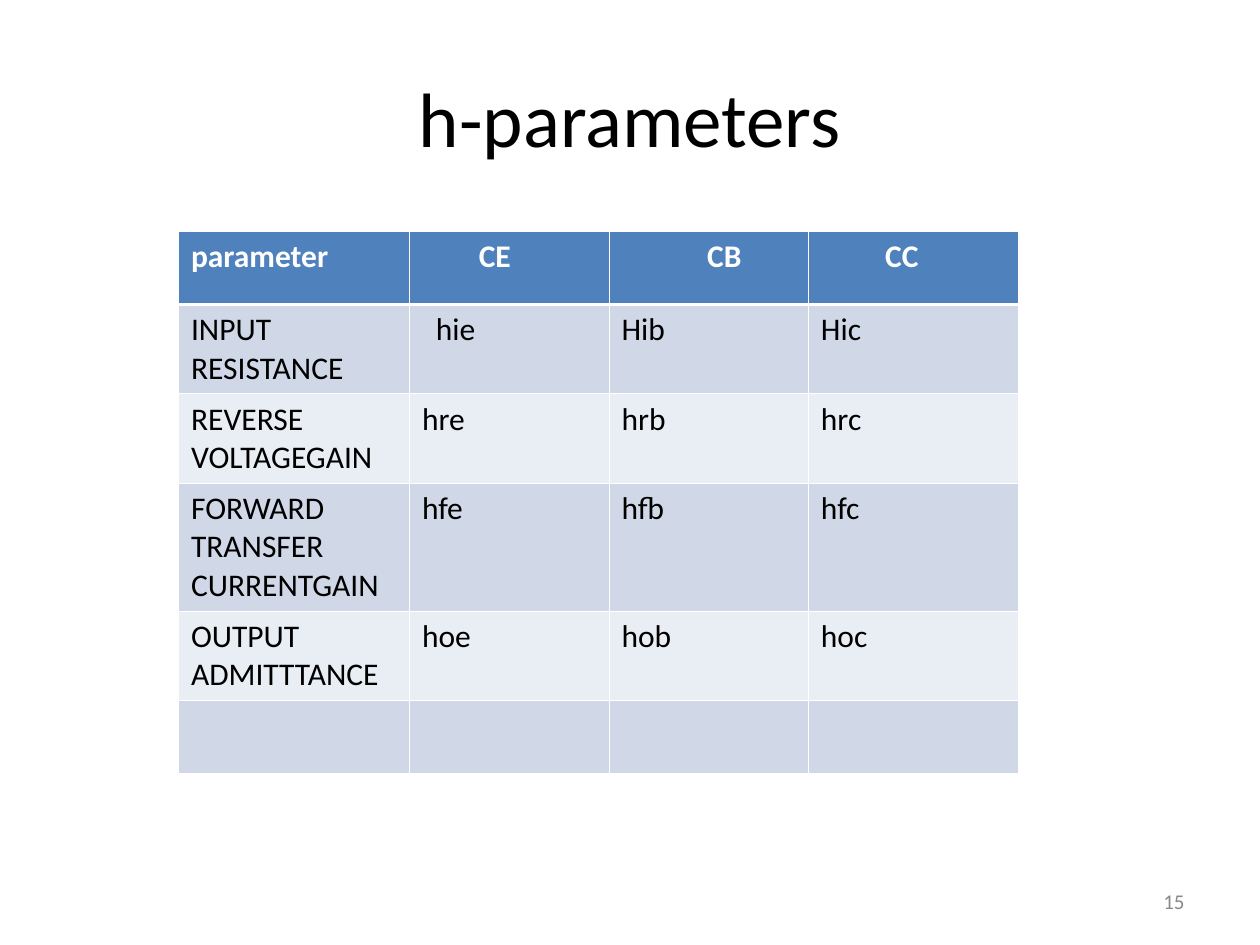
from dataclasses import dataclass
from lxml.etree import SubElement as Sub
from pptx import Presentation as Deck
from pptx.dml.color import RGBColor as Rgb
from pptx.enum.text import MSO_ANCHOR as Anchor, PP_ALIGN as Align
from pptx.oxml.ns import qn
from pptx.util import Inches, Pt


@dataclass(frozen=True)
class Theme:
    font: str = "Calibri"
    ink: str = "000000"
    pale: str = "FFFFFF"
    gray: str = "898989"
    head: str = "4F81BD"
    bands: tuple = ("D0D8E8", "E9EDF4")
    title: int = 44
    body: int = 18
    note: int = 12
    thin: float = 0.45
    thick: float = 1.47


class Page:
    def __init__(self, slide, theme, unit):
        self.slide, self.theme, self.unit = slide, theme, unit

    def size(self, *steps):
        return [round(step * self.unit) for step in steps]

    def style(self, para, size, color, bold=False):
        font = para.font
        font.name, font.size, font.bold = self.theme.font, Pt(size), bold
        font.color.rgb = Rgb.from_string(color)

    def text(self, words, place, size, color, align):
        frame = self.slide.shapes.add_textbox(*self.size(*place)).text_frame
        frame.word_wrap = True
        frame.vertical_anchor = Anchor.MIDDLE
        frame.text = words
        para = frame.paragraphs[0]
        para.alignment = align
        self.style(para, size, color)

    def edge(self, cell, side, width):
        line = Sub(cell._tc.get_or_add_tcPr(), qn(f"a:ln{side}"), w=str(Pt(width)))
        fill = Sub(line, qn("a:solidFill"))
        Sub(fill, qn("a:srgbClr"), val=self.theme.pale)

    def cell(self, cell, words, row, indent):
        look = self.theme
        head = row == 0
        for side in "LRTB":
            bold = (row, side) in ((0, "B"), (1, "T"))
            self.edge(cell, side, look.thick if bold else look.thin)
        cell.fill.solid()
        tint = look.head if head else look.bands[(row - 1) % 2]
        cell.fill.fore_color.rgb = Rgb.from_string(tint)
        cell.text = words
        for para in cell.text_frame.paragraphs:
            if indent:
                para._p.get_or_add_pPr().set("marL", str(Inches(indent)))
            self.style(para, look.body, look.pale if head else look.ink, head)

    def table(self, data, spot, cols, rows, shifts):
        place = self.size(*spot, sum(cols), sum(rows))
        grid = self.slide.shapes.add_table(len(rows), len(cols), *place).table
        for col, wide in zip(grid.columns, self.size(*cols)):
            col.width = wide
        for row, tall in zip(grid.rows, self.size(*rows)):
            row.height = tall
        for r, line in enumerate(data):
            for c, words in enumerate(line):
                self.cell(grid.cell(r, c), words, r, shifts.get(words, 0))


def main():
    deck = Deck()
    deck.slide_width, deck.slide_height = Inches(10), Inches(7.5)
    theme = Theme()
    slide = deck.slides.add_slide(deck.slide_layouts[6])
    page = Page(slide, theme, deck.slide_width / 120)
    page.text("h-parameters", (6, 3.6, 108, 15), theme.title, theme.ink, Align.CENTER)
    page.text("15", (86, 83.4, 28, 4.8), theme.note, theme.gray, Align.RIGHT)
    data = [
        ("parameter", "CE", "CB", "CC"),
        ("INPUT RESISTANCE", "hie", "Hib", "Hic"),
        ("REVERSE VOLTAGEGAIN", "hre", "hrb", "hrc"),
        ("FORWARD TRANSFER CURRENTGAIN", "hfe", "hfb", "hfc"),
        ("OUTPUT\nADMITTTANCE", "hoe", "hob", "hoc"),
        ("",) * 4,
    ]
    shifts = {"CE": 0.45, "CB": 0.68, "CC": 0.51, "hie": 0.11}
    page.table(data, (17, 22), (22, 19, 19, 20), (7, 8.5, 8.5, 12.2, 8.5, 7), shifts)
    deck.save("out.pptx")


if __name__ == "__main__":
    main()
